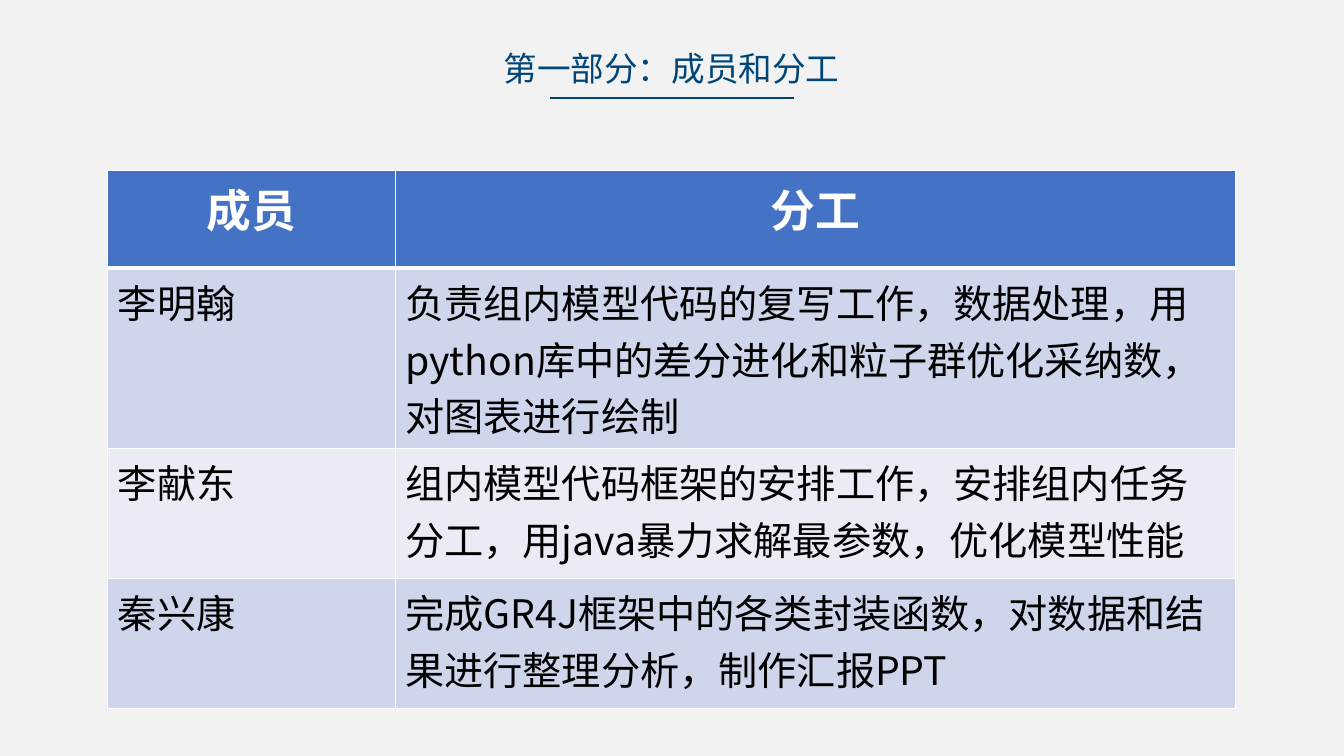
"""Build the slide that lists team members and their division of work."""
from lxml.etree import SubElement
from pptx import Presentation
from pptx.dml.color import RGBColor
from pptx.enum.shapes import MSO_CONNECTOR
from pptx.enum.text import PP_ALIGN
from pptx.oxml.ns import qn
from pptx.util import Inches, Pt

TITLE = "第一部分：成员和分工"
HEADER = ("成员", "分工")
MEMBERS = [
    ("李明翰", "负责组内模型代码的复写工作，数据处理，用python库中的差分进化和粒子群优化采纳数，对图表进行绘制"),
    ("李献东", "组内模型代码框架的安排工作，安排组内任务分工，用java暴力求解最参数，优化模型性能"),
    ("秦兴康", "完成GR4J框架中的各类封装函数，对数据和结果进行整理分析，制作汇报PPT"),
]
FONT = "Noto Sans CJK SC"
COLORS = {
    "background": "F2F2F2",
    "title": "004578",
    "header": "4472C4",
    "odd": "CFD5EA",
    "even": "E9EBF5",
    "white": "FFFFFF",
    "black": "000000",
}
COLUMN_WIDTHS = (2.85, 8.33)
HEADER_HEIGHT, MEMBER_HEIGHT = 0.97, 1.29
TABLE_LEFT, TABLE_TOP = 1.07, 1.69


def color(name):
    return RGBColor.from_string(COLORS[name])


def write(frame, text, size, color_name, bold=False, align=PP_ALIGN.LEFT):
    para = frame.paragraphs[0]
    para.alignment = align
    span = para.add_run()
    span.text = text
    span.font.size = Pt(size)
    span.font.bold = bold
    span.font.name = FONT
    span.font.color.rgb = color(color_name)
    SubElement(span.font._element, qn("a:ea"), typeface=FONT)


def add_borders(cell, top, bottom):
    properties = cell._tc.get_or_add_tcPr()
    for tag, width in (("lnL", 1), ("lnR", 1), ("lnT", top), ("lnB", bottom)):
        border = SubElement(properties, qn(f"a:{tag}"), w=str(Pt(width)))
        fill = SubElement(border, qn("a:solidFill"))
        SubElement(fill, qn("a:srgbClr"), val=COLORS["white"])


def add_title(page):
    box = page.shapes.add_textbox(Inches(3.95), Inches(0.43), Inches(5.42), Inches(0.5))
    box.text_frame.word_wrap = True
    write(box.text_frame, TITLE, 24, "title", align=PP_ALIGN.CENTER)
    underline = page.shapes.add_connector(
        MSO_CONNECTOR.STRAIGHT, Inches(5.45), Inches(0.97), Inches(7.88), Inches(0.97))
    underline.line.color.rgb = color("title")
    underline.line.width = Pt(1.5)
    SubElement(underline._element.spPr, qn("a:effectLst"))


def add_member_table(page):
    rows = [HEADER, *MEMBERS]
    heights = [HEADER_HEIGHT] + [MEMBER_HEIGHT] * len(MEMBERS)
    table = page.shapes.add_table(
        len(rows), len(HEADER), Inches(TABLE_LEFT), Inches(TABLE_TOP),
        Inches(sum(COLUMN_WIDTHS)), Inches(sum(heights))).table
    for column, width in zip(table.columns, COLUMN_WIDTHS):
        column.width = Inches(width)
    for index, (texts, height) in enumerate(zip(rows, heights)):
        table.rows[index].height = Inches(height)
        for cell, text in zip(table.rows[index].cells, texts):
            add_borders(cell, top=3 if index == 1 else 1, bottom=3 if index == 0 else 1)
            cell.fill.solid()
            if index == 0:
                cell.fill.fore_color.rgb = color("header")
                write(cell.text_frame, text, 32, "white", True, PP_ALIGN.CENTER)
            else:
                cell.fill.fore_color.rgb = color("odd" if index % 2 else "even")
                write(cell.text_frame, text, 28, "black")


def main():
    deck = Presentation()
    deck.slide_width, deck.slide_height = Inches(13.33), Inches(7.5)
    page = deck.slides.add_slide(deck.slide_layouts[6])
    page.background.fill.solid()
    page.background.fill.fore_color.rgb = color("background")
    add_member_table(page)
    add_title(page)
    deck.save("out.pptx")


if __name__ == "__main__":
    main()
